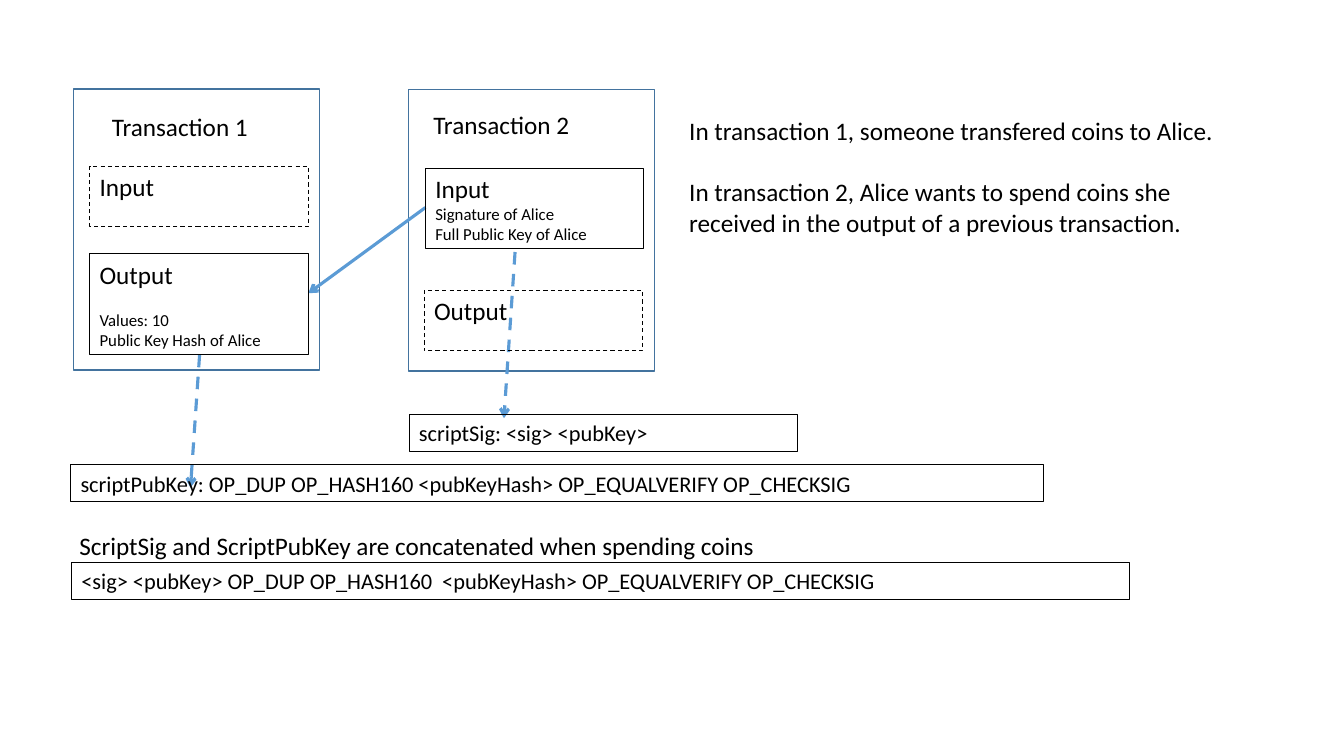
"""Build a slide on how a coin transaction spends an earlier output."""
from pptx import Presentation
from pptx.dml.color import RGBColor
from pptx.enum.dml import MSO_LINE as Dash
from pptx.enum.shapes import MSO_CONNECTOR as Link, MSO_SHAPE as Shape
from pptx.enum.text import MSO_ANCHOR as Anchor, PP_ALIGN as Align
from pptx.oxml.ns import qn
from pptx.util import Cm, Pt
from lxml.etree import SubElement


def color(code):
    """Turn a hex string into a colour."""
    return RGBColor.from_string(code)


def write(shape, rows):
    """Fill a shape with rows of text, size and space before."""
    frame = shape.text_frame
    frame.word_wrap = True
    frame.vertical_anchor = Anchor.TOP
    for i, (text, size, gap) in enumerate(rows):
        para = frame.add_paragraph() if i else frame.paragraphs[0]
        para.text = text
        para.alignment = Align.LEFT
        para.space_before = Pt(gap)
        para.font.name = "Calibri"
        para.font.size = Pt(size)
        para.font.color.rgb = color("000000")


deck = Presentation()
deck.slide_width, deck.slide_height = Cm(33.87), Cm(19.05)
slide = deck.slides.add_slide(deck.slide_layouts[6])
shapes = slide.shapes

for left, top in [(1.85, 2.24), (10.29, 2.26)]:
    card = shapes.add_shape(Shape.RECTANGLE, Cm(left), Cm(top), Cm(6.2), Cm(7.09))
    card.shadow.inherit = False
    card.fill.solid()
    card.fill.fore_color.rgb = color("FFFFFF")
    card.line.color.rgb = color("43739E")
    card.line.width = Pt(1)

arrows = [
    (10.72, 5.23, 7.77, 7.39, None),
    (5.03, 8.94, 4.8, 12.29, Dash.DASH),
    (12.98, 6.35, 12.7, 10.54, Dash.DASH),
]
for x1, y1, x2, y2, dash in arrows:
    arrow = shapes.add_connector(Link.STRAIGHT, Cm(x1), Cm(y1), Cm(x2), Cm(y2))
    arrow.line.color.rgb = color("5B9BD5")
    arrow.line.width = Pt(2.25)
    arrow.line.dash_style = dash
    SubElement(arrow.line._get_or_add_ln(), qn("a:tailEnd"), type="arrow")
    SubElement(arrow._element.spPr, qn("a:effectLst"))

boxes = [
    (2.26, 4.19, 5.51, 1.52, Dash.DASH, [("Input", 18, 0)]),
    (2.26, 6.4, 5.51, 2.54, None, [
        ("Output", 18, 0), ("Values: 10", 12, 14.6), ("Public Key Hash of Alice", 12, 0)]),
    (10.72, 4.24, 5.51, 2.03, None, [
        ("Input", 18, 0), ("Signature of Alice", 12, 0), ("Full Public Key of Alice", 12, 0)]),
    (10.69, 7.32, 5.51, 1.52, Dash.DASH, [("Output", 18, 0)]),
    (10.31, 10.44, 9.8, 0.94, None, [("scriptSig: <sig> <pubKey>", 16, 0)]),
    (1.78, 11.71, 24.51, 0.94, None, [
        ("scriptPubKey: OP_DUP OP_HASH160 <pubKeyHash> OP_EQUALVERIFY OP_CHECKSIG", 16, 0)]),
    (1.8, 14.17, 26.67, 0.94, None, [
        ("<sig> <pubKey> OP_DUP OP_HASH160  <pubKeyHash> OP_EQUALVERIFY OP_CHECKSIG", 16, 0)]),
]
for left, top, width, height, dash, rows in boxes:
    box = shapes.add_shape(Shape.RECTANGLE, Cm(left), Cm(top), Cm(width), Cm(height))
    box.shadow.inherit = False
    box.fill.background()
    box.line.color.rgb = color("000000")
    box.line.width = Pt(0.75)
    box.line.dash_style = dash
    write(box, rows)

labels = [
    (2.57, 2.67, 5.38, 1.07, [("Transaction 1", 18, 0)]),
    (10.67, 2.64, 5.38, 1.07, [("Transaction 2", 18, 0)]),
    (1.75, 13.23, 29.24, 1.07, [
        ("ScriptSig and ScriptPubKey are concatenated when spending coins", 18, 0)]),
    (17.12, 2.79, 13.72, 4.88, [
        ("In transaction 1, someone transfered coins to Alice.", 18, 0),
        ("In transaction 2, Alice wants to spend coins she received "
         "in the output of a previous transaction.", 18, 22)]),
]
for left, top, width, height, rows in labels:
    label = shapes.add_textbox(Cm(left), Cm(top), Cm(width), Cm(height))
    write(label, rows)

deck.save("out.pptx")
